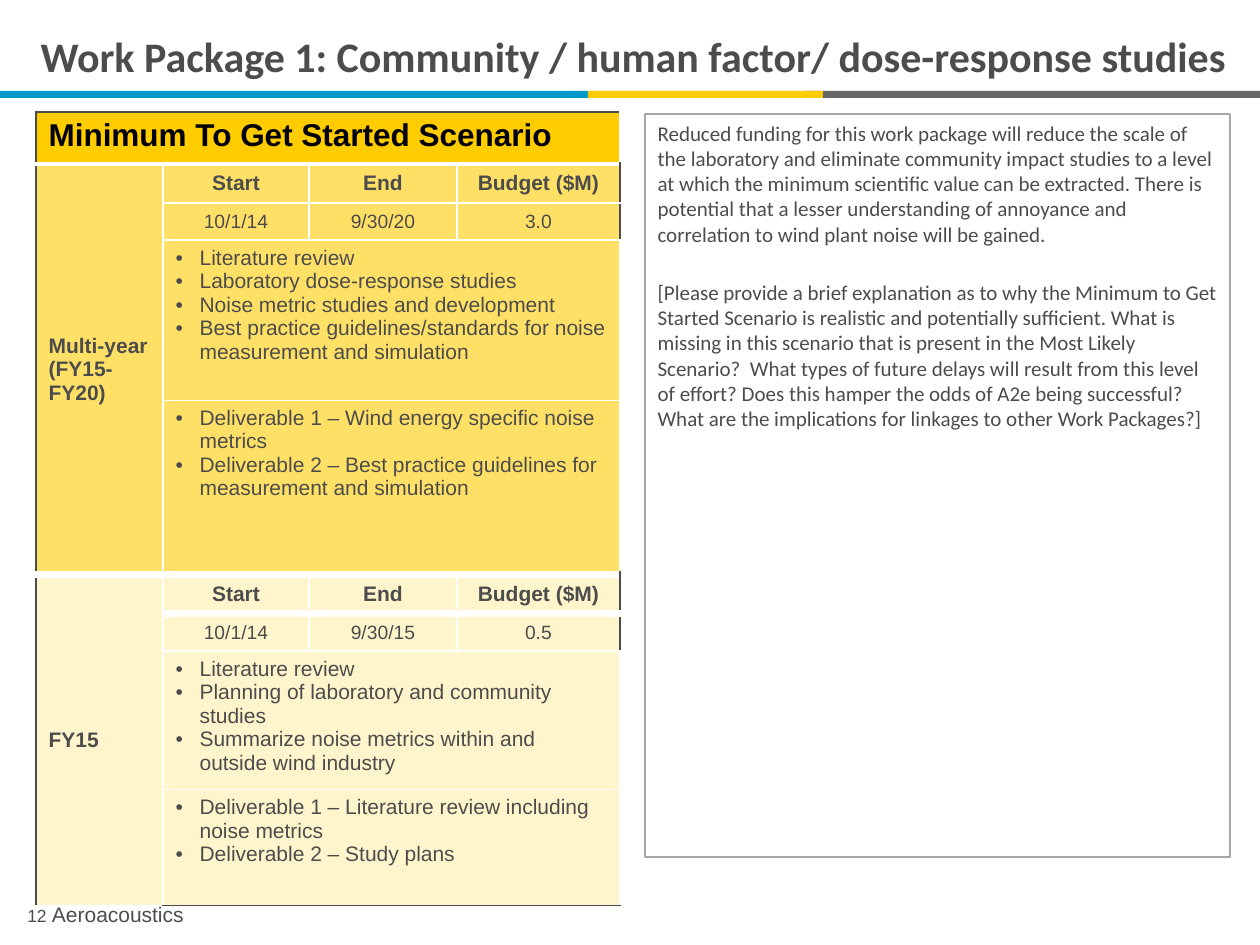
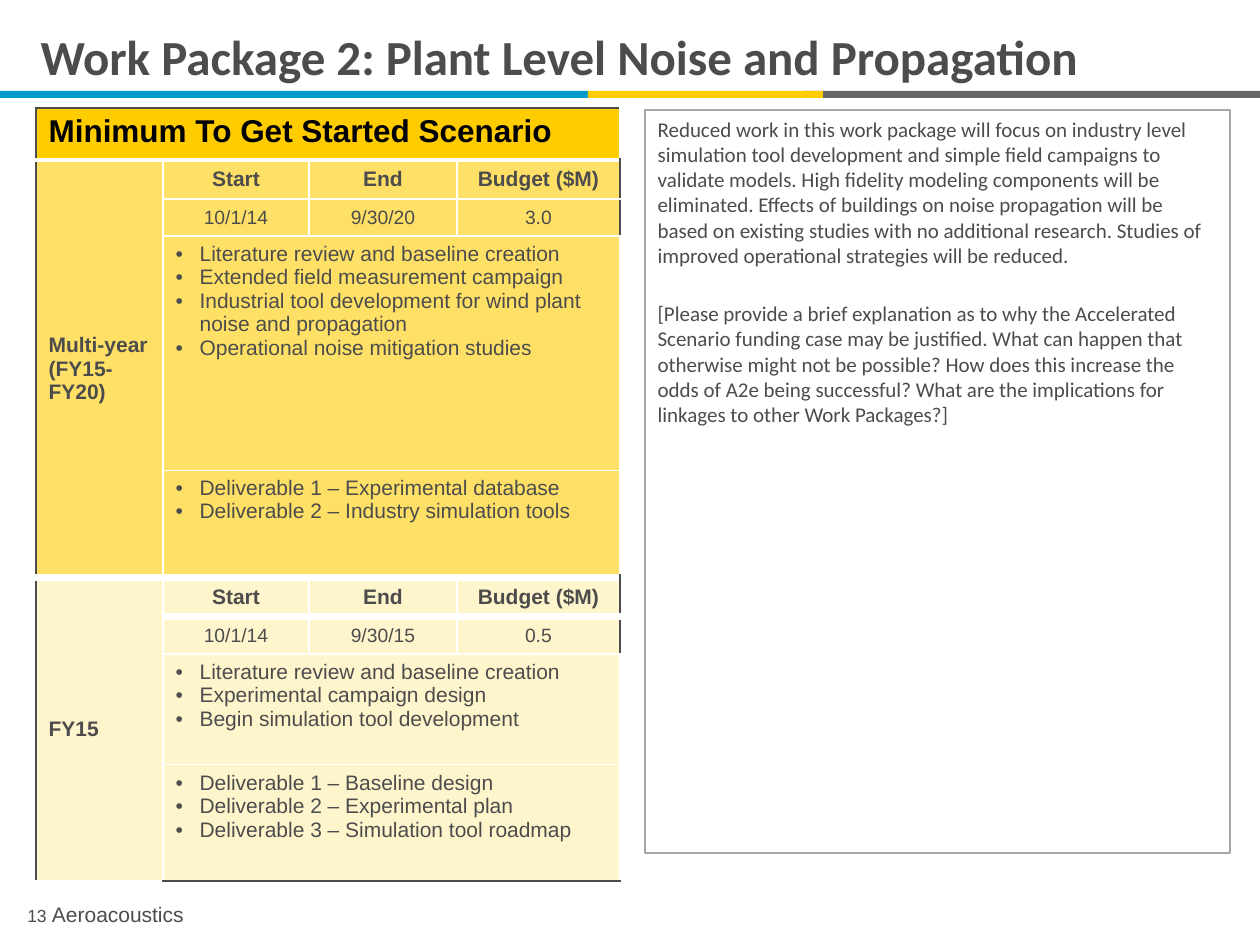
from lxml.etree import SubElement
from pptx import Presentation
from pptx.dml.color import RGBColor
from pptx.enum.shapes import MSO_SHAPE as Shape
from pptx.enum.text import MSO_ANCHOR as Anchor, MSO_AUTO_SIZE as AutoSize, PP_ALIGN as Align
from pptx.oxml.ns import qn
from pptx.util import Emu, Pt

EMU_PER_PX = 914400 / 126
COLORS = {
    "text": "4C4C4C", "black": "000000", "white": "FFFFFF", "frame": "A6A6A6",
    "blue": "0099CC", "gold": "FFCC00", "gray": "666666",
    "multi_year": "FFE066", "first_year": "FFF5CC",
}
BANDS = [("blue", 0, 588), ("gray", 804, 456), ("gold", 588, 235)]

# Table grid: column widths, and the line weight below each row
TABLE_LEFT = 36
COLUMNS = [127, 146, 148, 163]
LINES_BELOW = [3, 1, 1, 0.5, 4.5, 4.5, 1, 0.5, 1]

PACKAGES = [
    {
        "number": "12",
        "title": "Work Package 1: Community / human factor/ dose-response studies",
        "title_size": 24,
        "table_top": 112,
        "note_top": 114,
        "rows": [52, 39, 37, 160, 175, 39, 37, 111, 116],
        "multi_year": (
            ["Literature review", "Laboratory dose-response studies",
             "Noise metric studies and development",
             "Best practice guidelines/standards for noise measurement and simulation"],
            ["Deliverable 1 – Wind energy specific noise metrics",
             "Deliverable 2 – Best practice guidelines for measurement and simulation"],
        ),
        "first_year": (
            ["Literature review", "Planning of laboratory and community studies",
             "Summarize noise metrics within and outside wind industry"],
            ["Deliverable 1 – Literature review including noise metrics",
             "Deliverable 2 – Study plans"],
        ),
        "notes": [
            "Reduced funding for this work package will reduce the scale of the laboratory "
            "and eliminate community impact studies to a level at which the minimum "
            "scientific value can be extracted. There is potential that a lesser "
            "understanding of annoyance and correlation to wind plant noise will be gained.",
            "[Please provide a brief explanation as to why the Minimum to Get Started "
            "Scenario is realistic and potentially sufficient. What is missing in this "
            "scenario that is present in the Most Likely Scenario?  What types of future "
            "delays will result from this level of effort? Does this hamper the odds of "
            "A2e being successful? What are the implications for linkages to other Work "
            "Packages?]",
        ],
    },
    {
        "number": "13",
        "title": "Work Package 2: Plant Level Noise and Propagation",
        "title_size": 28,
        "table_top": 108,
        "note_top": 110,
        "rows": [52, 39, 37, 234, 108, 39, 37, 111, 116],
        "multi_year": (
            ["Literature review and baseline creation", "Extended field measurement campaign",
             "Industrial tool development for wind plant noise and propagation",
             "Operational noise mitigation studies"],
            ["Deliverable 1 – Experimental database",
             "Deliverable 2 – Industry simulation tools"],
        ),
        "first_year": (
            ["Literature review and baseline creation", "Experimental campaign design",
             "Begin simulation tool development"],
            ["Deliverable 1 – Baseline design", "Deliverable 2 – Experimental plan",
             "Deliverable 3 – Simulation tool roadmap"],
        ),
        "notes": [
            "Reduced work in this work package will focus on industry level simulation tool "
            "development and simple field campaigns to validate models. High fidelity "
            "modeling components will be eliminated. Effects of buildings on noise "
            "propagation will be based on existing studies with no additional research. "
            "Studies of improved operational strategies will be reduced.",
            "[Please provide a brief explanation as to why the Accelerated Scenario funding "
            "case may be justified. What can happen that otherwise might not be possible? "
            "How does this increase the odds of A2e being successful? What are the "
            "implications for linkages to other Work Packages?]",
        ],
    },
]


def px(length):
    return Emu(round(length * EMU_PER_PX))


def color(name):
    return RGBColor.from_string(COLORS[name])


def place(shape, left, top, width, height):
    shape.left, shape.top = px(left), px(top)
    shape.width, shape.height = px(width), px(height)


def write(frame, lines, size, font="Arial", bold=False, ink="text", align=Align.LEFT):
    """Fill a text frame with one paragraph per line and return the paragraphs."""
    frame.text = "\n".join(lines)
    for para in frame.paragraphs:
        para.alignment = align
        para.font.name, para.font.size, para.font.bold = font, Pt(size), bold
        para.font.color.rgb = color(ink)
    return frame.paragraphs


def set_indent(para, margin, bullet=None):
    """Hang a bullet in the margin, or turn the bullet off."""
    properties = para._p.get_or_add_pPr()
    properties.set("marL", str(px(margin)))
    properties.set("indent", str(-px(margin)))
    if bullet:
        SubElement(properties, qn("a:buFont")).set("typeface", "Arial")
        SubElement(properties, qn("a:buChar")).set("char", bullet)
    else:
        SubElement(properties, qn("a:buNone"))


# Page furniture
def add_bands(page):
    for name, left, width in BANDS:
        band = page.shapes.add_shape(Shape.RECTANGLE, px(left), px(91), px(width), px(7))
        band.shadow.inherit = False
        band.fill.solid()
        band.fill.fore_color.rgb = color(name)
        band.line.fill.background()


def add_label(page, text, area, size, align=Align.LEFT):
    box = page.shapes.add_textbox(*map(px, area))
    frame = box.text_frame
    frame.word_wrap = True
    frame.vertical_anchor = Anchor.MIDDLE
    frame.margin_left = frame.margin_right = 0
    write(frame, [text], size, align=align)


def set_title(page, text, size):
    title = page.shapes.title
    place(title, 28, 0, 1232, 112)
    frame = title.text_frame
    frame.auto_size = AutoSize.NONE
    frame.vertical_anchor = Anchor.MIDDLE
    write(frame, [text], size, font="Calibri", bold=True)


def set_notes(page, notes, top):
    body = page.placeholders[1]
    place(body, 645, top, 585, 743)
    body.line.color.rgb = color("frame")
    body.line.width = Pt(0.75)
    frame = body.text_frame
    frame.auto_size = AutoSize.NONE
    for index, para in enumerate(write(frame, notes, 12, font="Calibri")):
        para.space_before = Pt(19 * index)
        set_indent(para, 0)


# Scenario table
def set_border(cell, side, name, weight):
    line = SubElement(cell._tc.get_or_add_tcPr(), qn("a:ln" + side))
    line.set("w", str(Pt(weight)))
    fill = SubElement(line, qn("a:solidFill"))
    SubElement(fill, qn("a:srgbClr")).set("val", COLORS[name])


def style_block(table, row, column, height, width, fill):
    """Merge a block of cells, draw its outer borders and fill it."""
    last_row, last_column = row + height - 1, column + width - 1
    first = table.cell(row, column)
    if height * width > 1:
        first.merge(table.cell(last_row, last_column))
    top = ("white", LINES_BELOW[row - 1]) if row else ("text", 1)
    bottom = ("white" if last_row < len(LINES_BELOW) - 1 else "text", LINES_BELOW[last_row])
    left = ("white" if column else "text", 1)
    right = ("white" if last_column < len(COLUMNS) - 1 else "text", 1)
    for r in range(row, last_row + 1):
        for c in range(column, last_column + 1):
            cell = table.cell(r, c)
            edges = [("L", c == column, left), ("R", c == last_column, right),
                     ("T", r == row, top), ("B", r == last_row, bottom)]
            for side, is_outer, line in edges:
                if is_outer:
                    set_border(cell, side, *line)
            cell.fill.solid()
            cell.fill.fore_color.rgb = color(fill)
    return first


def add_period(table, row, label, dates_and_budget, lists, fill):
    """Four rows: headings, values, activities and deliverables."""
    period = style_block(table, row, 0, 4, 1, fill)
    period.vertical_anchor = Anchor.MIDDLE
    write(period.text_frame, [label], 12, bold=True)
    grid = [(["Start", "End", "Budget ($M)"], 12, True), (dates_and_budget, 11, False)]
    for offset, (texts, size, bold) in enumerate(grid):
        for column, text in enumerate(texts, 1):
            cell = style_block(table, row + offset, column, 1, 1, fill)
            cell.vertical_anchor = Anchor.MIDDLE
            write(cell.text_frame, [text], size, bold=bold, align=Align.CENTER)
    for offset, items in enumerate(lists, 2):
        cell = style_block(table, row + offset, 1, 1, 3, fill)
        for para in write(cell.text_frame, items, 12):
            set_indent(para, 24, "•")


def add_scenario_table(page, package):
    rows = package["rows"]
    table = page.shapes.add_table(
        len(rows), len(COLUMNS), px(TABLE_LEFT), px(package["table_top"]),
        px(sum(COLUMNS)), px(sum(rows))).table
    table.first_row = table.horz_banding = False
    for column, width in zip(table.columns, COLUMNS):
        column.width = px(width)
    for row, height in zip(table.rows, rows):
        row.height = px(height)
    heading = style_block(table, 0, 0, 1, len(COLUMNS), "gold")
    write(heading.text_frame, ["Minimum To Get Started Scenario"], 18, bold=True, ink="black")
    add_period(table, 1, "Multi-year (FY15-FY20)", ["10/1/14", "9/30/20", "3.0"],
               package["multi_year"], "multi_year")
    add_period(table, 5, "FY15", ["10/1/14", "9/30/15", "0.5"],
               package["first_year"], "first_year")


def add_package_page(deck, package):
    page = deck.slides.add_slide(deck.slide_layouts[1])
    add_bands(page)
    set_title(page, package["title"], package["title_size"])
    add_label(page, package["number"], (6, 899, 62, 33), 10, Align.CENTER)
    add_label(page, "Aeroacoustics", (52, 895, 975, 38), 12)
    add_scenario_table(page, package)
    set_notes(page, package["notes"], package["note_top"])


def main():
    deck = Presentation()
    deck.slide_width, deck.slide_height = px(1260), px(945)
    for package in PACKAGES:
        add_package_page(deck, package)
    deck.save("out.pptx")


if __name__ == "__main__":
    main()
